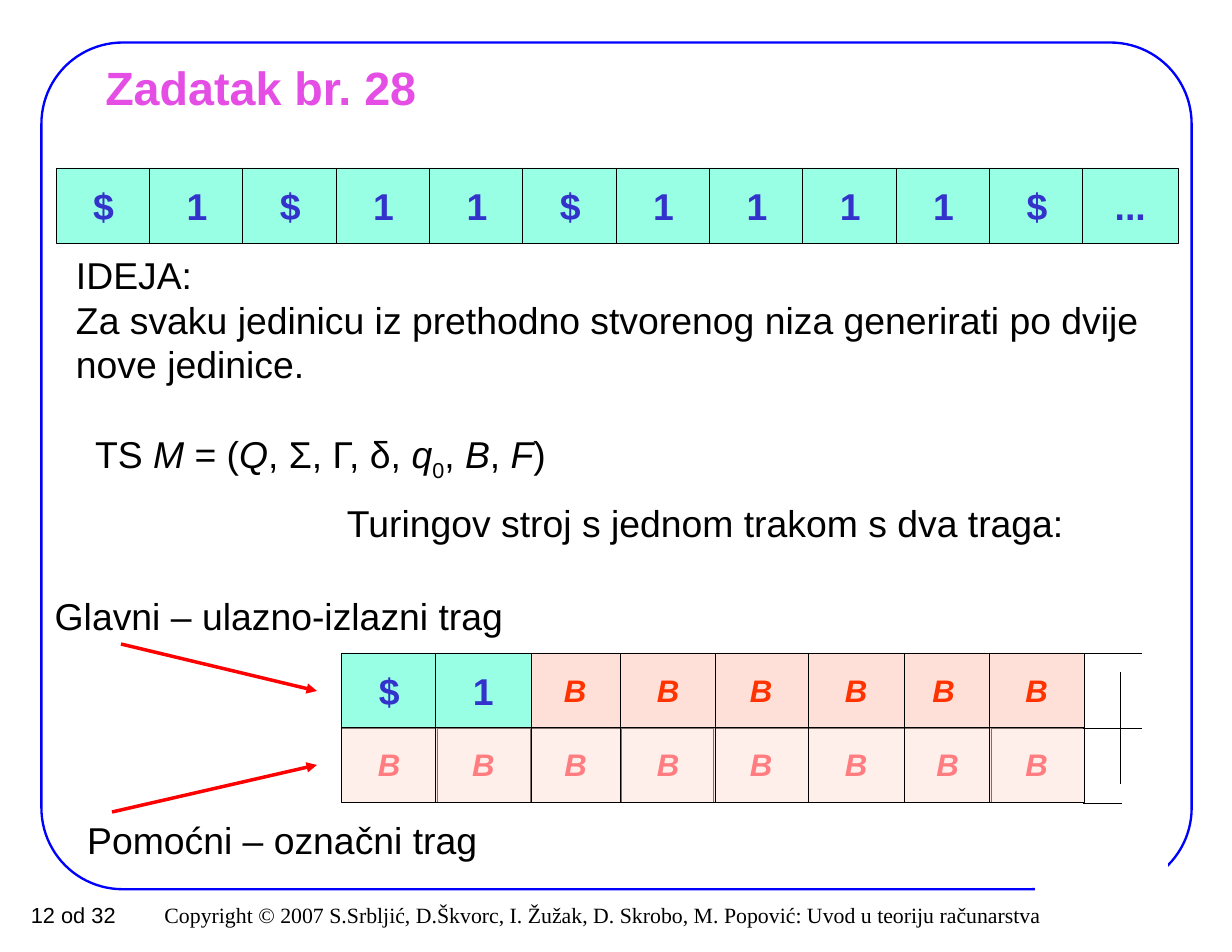
from lxml import etree
from pptx import Presentation
from pptx.dml.color import RGBColor
from pptx.enum.shapes import MSO_CONNECTOR, MSO_SHAPE
from pptx.enum.text import MSO_ANCHOR, PP_ALIGN
from pptx.oxml.ns import qn
from pptx.util import Inches, Pt

RECT, ROUND = MSO_SHAPE.RECTANGLE, MSO_SHAPE.ROUNDED_RECTANGLE
STRAIGHT = MSO_CONNECTOR.STRAIGHT
TOP, MIDDLE = MSO_ANCHOR.TOP, MSO_ANCHOR.MIDDLE
LEFT, CENTER, RIGHT = PP_ALIGN.LEFT, PP_ALIGN.CENTER, PP_ALIGN.RIGHT

BLACK = RGBColor(0x00, 0x00, 0x00)
WHITE = RGBColor(0xFF, 0xFF, 0xFF)
BLUE = RGBColor(0x00, 0x00, 0xFF)
RED = RGBColor(0xFF, 0x00, 0x00)
PINK = RGBColor(0xE4, 0x4E, 0xE4)
MINT = RGBColor(0x99, 0xFF, 0xE4)
INDIGO = RGBColor(0x33, 0x33, 0xCC)
PEACH = RGBColor(0xFF, 0xE0, 0xD9)
ORANGE = RGBColor(0xFF, 0x33, 0x00)
ROSE = RGBColor(0xFF, 0x7C, 0x80)

CELL_W, CELL_H = 0.85, 0.67
MAIN_Y, AUX_Y = 5.83, 6.49
INPUT = ["$", "1", "$", "1", "1", "$", "1", "1", "1", "1", "$", "..."]
# Cells of the two tracks, from back to front
MAIN = [(3.05, "$"), (8, "B"), (8.83, "B"), (6.37, "B"),
        (7.22, "B"), (4.71, "B"), (5.54, "B"), (3.89, "1")]
AUX = [(8.07, 0.78), (8.83, CELL_W), (6.37, CELL_W), (7.22, CELL_W),
       (4.73, 0.82), (5.54, CELL_W), (3.05, CELL_W), (3.89, CELL_W)]
# Torn end of the tape, measured from the corner of its last cell
TEAR = [(0.53, 0), (0.52, 0.08), (0.49, 0.08), (0.49, 0.15), (0.44, 0.2),
        (0.45, 0.31), (0.42, 0.35), (0.41, 0.44), (0.39, 0.4), (0.38, 0.5),
        (0.36, 0.47), (0.37, 0.59), (0.35, 0.67)]
TUPLE = [("TS ", {}), ("M", {"italic": True}), (" = (", {}),
         ("Q", {"italic": True}), (", Σ, Γ, δ, ", {}),
         ("q", {"italic": True}), ("0", {"base": -25000}), (", ", {}),
         ("B", {"italic": True}), (", ", {}), ("F", {"italic": True}),
         (")", {})]


def write(frame, text, size=24, color=BLACK, font="Arial", bold=False,
          italic=False, align=LEFT, anchor=MIDDLE, inset=(0.1, 0.05),
          wrap=True):
    """Fill a frame with a string, or with one line of (text, style) runs."""
    frame.word_wrap = wrap
    frame.vertical_anchor = anchor
    frame.margin_left = frame.margin_right = Inches(inset[0])
    frame.margin_top = frame.margin_bottom = Inches(inset[1])
    if isinstance(text, str):
        lines = [[(line, {})] for line in text.split("\n")]
    else:
        lines = [text]
    for i, line in enumerate(lines):
        para = frame.add_paragraph() if i else frame.paragraphs[0]
        para.alignment = align
        for words, style in line:
            run = para.add_run()
            run.text = words
            run.font.name = font
            run.font.size = Pt(size)
            run.font.bold = bold
            run.font.italic = style.get("italic", italic)
            run.font.color.rgb = color
            if "base" in style:
                run.font._element.set("baseline", str(style["base"]))


def add_text(slide, box, text, **style):
    shape = slide.shapes.add_textbox(*map(Inches, box))
    write(shape.text_frame, text, **style)


def add_box(slide, kind, box, fill=None, line=BLACK, width=0.25):
    shape = slide.shapes.add_shape(kind, *map(Inches, box))
    shape.shadow.inherit = False
    if fill is None:
        shape.fill.background()
    else:
        shape.fill.solid()
        shape.fill.fore_color.rgb = fill
    shape.line.color.rgb = line
    shape.line.width = Pt(width)
    return shape


def add_cell(slide, x, y, text, fill=MINT, color=INDIGO, width=CELL_W,
             size=24, italic=False):
    cell = add_box(slide, RECT, (x, y, width, CELL_H), fill)
    write(cell.text_frame, text, size=size, color=color, bold=True,
          italic=italic, align=CENTER, inset=(0.01, 0.01), wrap=False)
    return cell


def fade(shape, percent):
    color = shape.fill._xPr.find(qn("a:solidFill"))[0]
    etree.SubElement(color, qn("a:alpha"), val=str(percent * 1000))


def add_line(shapes, start, end, color=BLACK, width=0.25, arrow=False):
    line = shapes.add_connector(STRAIGHT, *map(Inches, start + end))
    line.line.color.rgb = color
    line.line.width = Pt(width)
    if arrow:
        etree.SubElement(line.line._get_or_add_ln(), qn("a:tailEnd"),
                         type="triangle")
    etree.SubElement(line._element.spPr, qn("a:effectLst"))


def add_tear(slide, x, y):
    """Draw the open, torn end of one track."""
    shapes = slide.shapes.add_group_shape().shapes
    points = [(x + dx, y + dy) for dx, dy in TEAR]
    add_line(shapes, (x, y), points[0])
    add_line(shapes, (x, y + CELL_H), points[-1])
    outline = shapes.build_freeform(*points[0], scale=Inches(1))
    outline.add_line_segments(points[1:], close=False)
    edge = outline.convert_to_shape()
    edge.shadow.inherit = False
    edge.fill.background()
    edge.line.color.rgb = BLACK
    edge.line.width = Pt(0.25)


def add_frame(slide):
    frame = add_box(slide, ROUND, (0.37, 0.38, 10.27, 7.56), line=BLUE,
                    width=1.5)
    frame.adjustments[0] = 0.096
    add_box(slide, RECT, (9.25, 7.67, 1.17, 0.5), WHITE, WHITE, 1)
    add_text(slide, (0.17, 8, 9.23, 0.34),
             "Copyright © 2007 S.Srbljić, D.Škvorc, I. Žužak, D. Skrobo, "
             "M. Popović: Uvod u teoriju računarstva",
             size=14, font="Times New Roman", align=RIGHT)
    add_text(slide, (-0.16, 8, 1.63, 0.34), "12 od 32", size=14,
             align=CENTER, anchor=TOP)


def add_title(slide, text):
    title = slide.shapes.title
    title.left, title.top = Inches(0.83), Inches(0.5)
    title.width, title.height = Inches(9.35), Inches(0.55)
    write(title.text_frame, text, size=30, color=PINK, bold=True,
          inset=(0.11, 0.06))


def add_tracks(slide):
    for x, mark in MAIN:
        if mark == "B":
            add_cell(slide, x, MAIN_Y, mark, PEACH, ORANGE, size=20,
                     italic=True)
        else:
            add_cell(slide, x, MAIN_Y, mark)
    for x, width in AUX:
        cell = add_cell(slide, x, AUX_Y, "B", PEACH, ROSE, width, size=20,
                        italic=True)
        fade(cell, 50)
    for y in (MAIN_Y, MAIN_Y + CELL_H):
        add_tear(slide, 9.67, y)


def main():
    deck = Presentation()
    deck.slide_width, deck.slide_height = Inches(11), Inches(8.5)
    slide = deck.slides.add_slide(deck.slide_layouts[5])
    add_frame(slide)
    add_title(slide, "Zadatak br. 28")
    for i, mark in enumerate(INPUT):
        add_cell(slide, 0.5 + i * 10 / 12, 1.5, mark)
    add_text(slide, (0.75, 3.8, 4.25, 0.56), TUPLE)
    add_text(slide, (3, 4.42, 6.66, 0.5),
             "Turingov stroj s jednom trakom s dva traga:")
    add_tracks(slide)
    add_text(slide, (0.58, 2.2, 9.92, 1.3),
             "IDEJA:\nZa svaku jedinicu iz prethodno stvorenog niza "
             "generirati po dvije nove jedinice.")
    add_text(slide, (0.39, 5.25, 4.25, 0.5), "Glavni – ulazno-izlazni trag")
    add_text(slide, (0.68, 7.25, 3.74, 0.5), "Pomoćni – označni trag")
    add_line(slide.shapes, (1.08, 5.75), (2.83, 6.17), RED, 2.25, arrow=True)
    add_line(slide.shapes, (1, 7.25), (2.83, 6.83), RED, 2.25, arrow=True)
    deck.save("out.pptx")


if __name__ == "__main__":
    main()
